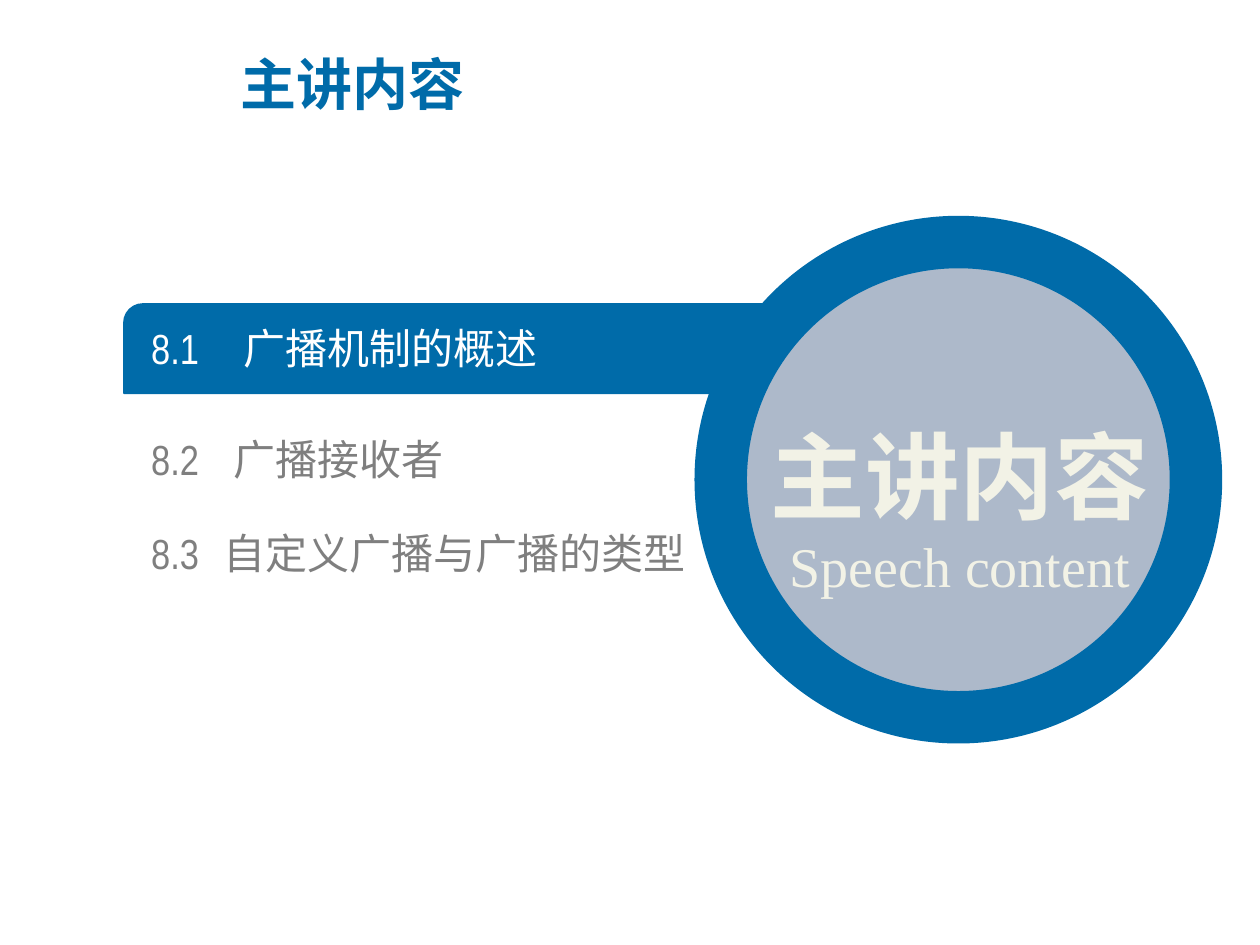
"""Build the agenda slide with a highlighted first topic and a round caption."""
from lxml.etree import SubElement
from pptx import Presentation
from pptx.dml.color import RGBColor
from pptx.enum.shapes import MSO_SHAPE as Preset
from pptx.enum.text import MSO_ANCHOR as Anchor, PP_ALIGN as Align
from pptx.oxml.ns import qn
from pptx.util import Cm, Pt

HEADING = "主讲内容"
CAPTION = "Speech content"
TOPICS = [
    ("8.1", "广播机制的概述", 6.5, 1.86),
    ("8.2", "广播接收者", 8.74, 1.66),
    ("8.3", "自定义广播与广播的类型", 10.64, 1.45),
]
COLORS = {"blue": "006BA9", "disc": "ADB9CA", "cream": "F2F2E6",
          "white": "FFFFFF", "gray": "7F7F7F"}
SANS, NARROW, SERIF = "Noto Sans CJK SC", "Arial Narrow", "Times New Roman"


def color(name):
    return RGBColor.from_string(COLORS[name])


def add_panel(page, preset, frame, fill, line_width):
    panel = page.shapes.add_shape(preset, *map(Cm, frame))
    panel.shadow.inherit = False
    panel.fill.solid()
    panel.fill.fore_color.rgb = color(fill)
    panel.line.color.rgb = color("blue")
    panel.line.width = Pt(line_width)
    return panel


def add_frame(page, frame, margin=None):
    text = page.shapes.add_textbox(*map(Cm, frame)).text_frame
    text.word_wrap = True
    text.vertical_anchor = Anchor.MIDDLE
    if margin is not None:
        text.margin_left = text.margin_right = margin
        text.margin_top = text.margin_bottom = margin
    return text


def write(para, words, font, size, ink, bold=False, align=Align.LEFT):
    para.text = words
    para.alignment = align
    para.font.name, para.font.size, para.font.bold = font, Pt(size), bold
    para.font.color.rgb = color(ink)
    for span in para.runs:
        span.font.name = font
        east_asian = SubElement(span.font._element, qn("a:ea"))
        east_asian.set("typeface", SANS)


def add_tab_stop(para, position):
    properties = para._p.get_or_add_pPr()
    stops = properties.makeelement(qn("a:tabLst"))
    SubElement(stops, qn("a:tab"), pos=str(Cm(position)), algn="l")
    properties.find(qn("a:defRPr")).addprevious(stops)


def main():
    deck = Presentation()
    deck.slide_width, deck.slide_height = Cm(25.4), Cm(19.05)
    page = deck.slides.add_slide(deck.slide_layouts[6])

    bar = add_panel(page, Preset.ROUND_2_DIAG_RECTANGLE, (2.5, 6.13, 13.8, 1.8), "blue", 1)
    bar.adjustments[0], bar.adjustments[1] = 0.21, 0

    for index, (number, topic, top, indent) in enumerate(TOPICS):
        para = add_frame(page, (3.05, top, 11.2, 1.02), 0).paragraphs[0]
        write(para, f"{number}\t{topic}", NARROW, 24, "gray" if index else "white")
        add_tab_stop(para, indent)

    add_panel(page, Preset.OVAL, (14.53, 4.88, 9.58, 9.58), "disc", 30)
    caption = add_frame(page, (14.4, 7.14, 9.9, 5.08))
    write(caption.paragraphs[0], HEADING, SANS, 54, "cream", True, Align.CENTER)
    caption.paragraphs[0].line_spacing = 1.5
    write(caption.add_paragraph(), CAPTION, SERIF, 32, "cream", align=Align.CENTER)

    heading = add_frame(page, (4.6, 0.61, 14.3, 2.13))
    write(heading.paragraphs[0], HEADING, SANS, 32, "blue", True)
    deck.save("out.pptx")


if __name__ == "__main__":
    main()
